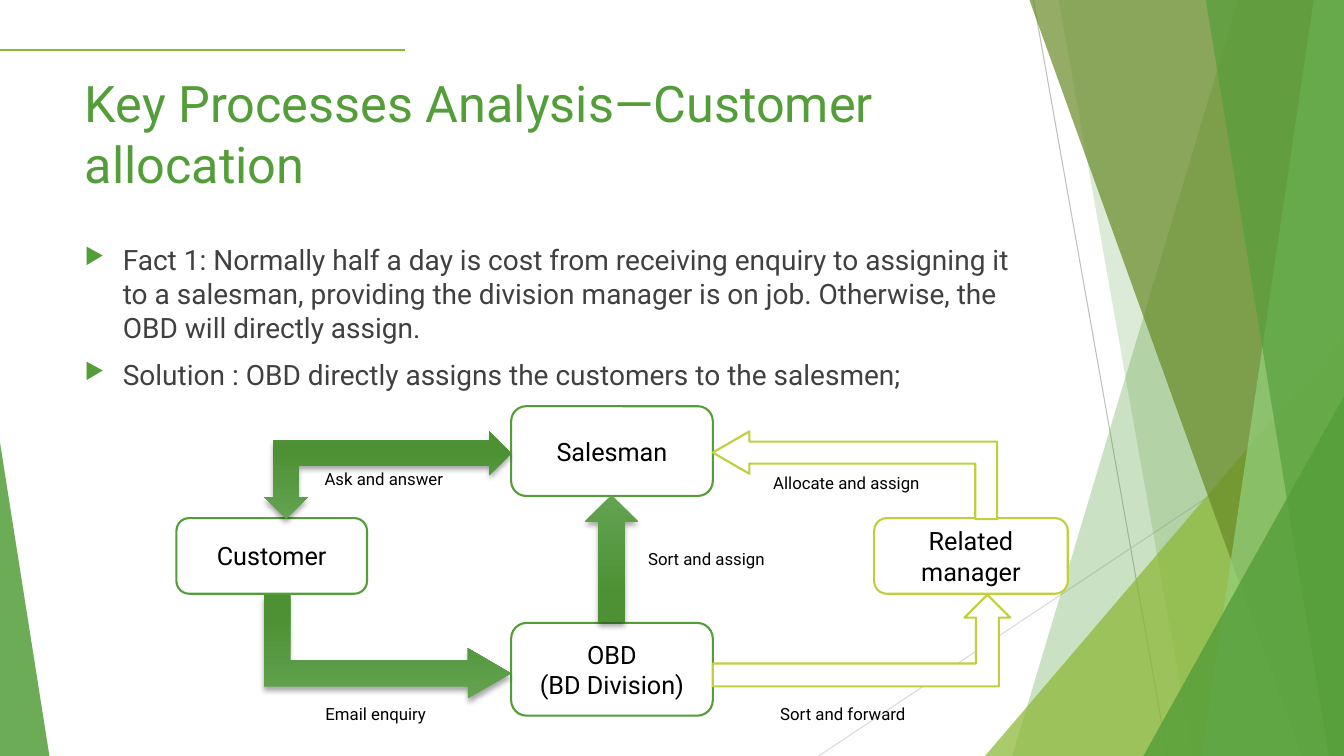
from lxml.etree import SubElement
from pptx import Presentation
from pptx.dml.color import RGBColor
from pptx.enum.shapes import MSO_CONNECTOR, MSO_SHAPE
from pptx.enum.text import MSO_ANCHOR, MSO_AUTO_SIZE, PP_ALIGN
from pptx.oxml.ns import qn
from pptx.util import Inches, Pt

GREEN = RGBColor(0x54, 0x9E, 0x39)
LIME = RGBColor(0x8A, 0xB8, 0x33)
OLIVE = RGBColor(0x67, 0x8A, 0x26)
MINT = RGBColor(0x93, 0xD0, 0x7D)
YELLOW = RGBColor(0xC0, 0xCF, 0x3A)
LIGHT = RGBColor(0x63, 0xA3, 0x51)
DEEP = RGBColor(0x4D, 0x91, 0x34)
SILVER = RGBColor(0xBF, 0xBF, 0xBF)
PALE = RGBColor(0xD9, 0xD9, 0xD9)
INK = RGBColor(0x40, 0x40, 0x40)
BLACK = RGBColor(0, 0, 0)
WHITE = RGBColor(0xFF, 0xFF, 0xFF)
WIDE, HIGH = 13.33, 7.5


def put_text(frame, text, size=18, color=BLACK, align=PP_ALIGN.LEFT,
             anchor=MSO_ANCHOR.TOP, before=0):
    """Fill the frame with one paragraph for each line of text."""
    frame.word_wrap = True
    frame.auto_size = MSO_AUTO_SIZE.NONE
    frame.vertical_anchor = anchor
    frame.text = text
    for para in frame.paragraphs:
        para.alignment = align
        para.space_before = Pt(before)
        font = para.runs[0].font
        font.name, font.size, font.color.rgb = "Roboto", Pt(size), color


def add_label(slide, box, text, **style):
    label = slide.shapes.add_textbox(*map(Inches, box))
    put_text(label.text_frame, text, **style)
    return label


def add_rule(slide, start, end, color, width):
    rule = slide.shapes.add_connector(
        MSO_CONNECTOR.STRAIGHT, *map(Inches, start + end))
    rule.line.color.rgb = color
    rule.line.width = Pt(width)
    SubElement(rule.element.spPr, qn("a:effectLst"))


def add_form(slide, kind, box, adjust=(), fill=WHITE, line=None):
    form = slide.shapes.add_shape(kind, *map(Inches, box))
    form.shadow.inherit = False
    for i, value in enumerate(adjust):
        form.adjustments[i] = value
    form.fill.solid()
    form.fill.fore_color.rgb = fill
    if line is None:
        form.line.fill.background()
    else:
        form.line.color.rgb = line
        form.line.width = Pt(1.5)
    return form


def set_alpha(form, percent):
    color = form.element.spPr.find(qn("a:solidFill"))[0]
    SubElement(color, qn("a:alpha"), val=str(percent * 1000))


def add_facet(slide, top, foot, color, alpha):
    """Draw a facet from its slanted left edge to the right slide edge."""
    corners = [(WIDE, 0), (WIDE, HIGH), (foot, HIGH)]
    pen = slide.shapes.build_freeform(Inches(top), 0)
    pen.add_line_segments([(Inches(x), Inches(y)) for x, y in corners])
    facet = pen.convert_to_shape()
    facet.shadow.inherit = False
    facet.fill.solid()
    facet.fill.fore_color.rgb = color
    facet.line.fill.background()
    set_alpha(facet, alpha)


def add_wedge(slide, left, top, width, tip, color, alpha):
    box = (left, top, width, HIGH - top)
    wedge = add_form(slide, MSO_SHAPE.ISOSCELES_TRIANGLE, box, [tip], color)
    set_alpha(wedge, alpha)


def add_decor(slide):
    add_rule(slide, (10.25, 0), (11.58, HIGH), SILVER, 0.75)
    add_rule(slide, (WIDE, 4.03), (8.12, HIGH), PALE, 0.75)
    add_facet(slide, 12.28, 10.04, GREEN, 30)
    add_facet(slide, 10.5, 11.83, GREEN, 20)
    add_wedge(slide, 9.77, 3.33, 3.56, 1, LIME, 72)
    add_facet(slide, 10.21, 12.91, OLIVE, 70)
    add_facet(slide, 13.03, 11.92, MINT, 70)
    add_facet(slide, 11.96, 13.18, GREEN, 65)
    add_wedge(slide, 11.34, 3.93, 1.99, 1, GREEN, 80)
    add_wedge(slide, 0, 4.39, 0.49, 0, GREEN, 85)


def add_title(slide, box, text):
    title = slide.shapes.title
    title.left, title.top, title.width, title.height = map(Inches, box)
    put_text(title.text_frame, text, size=36, color=GREEN)


def add_points(slide, box, lines):
    body = add_label(slide, box, "\n".join(lines), size=20, color=INK,
                     before=10)
    for para in body.text_frame.paragraphs:
        props = para._p.get_or_add_pPr()
        props.set("marL", str(Inches(0.38)))
        props.set("indent", str(-Inches(0.38)))
        tint = SubElement(props, qn("a:buClr"))
        SubElement(tint, qn("a:srgbClr"), val=str(GREEN))
        SubElement(props, qn("a:buSzPct"), val="80000")
        SubElement(props, qn("a:buChar"), char="▶")


def add_node(slide, box, text, color=GREEN):
    node = add_form(slide, MSO_SHAPE.ROUNDED_RECTANGLE, box, line=color)
    put_text(node.text_frame, text, align=PP_ALIGN.CENTER,
             anchor=MSO_ANCHOR.MIDDLE)


def add_arrow(slide, kind, box, adjust=(), flip="", turn=0, solid=True):
    """Draw a shaded arrow, or an outlined one if it is not solid."""
    arrow = add_form(slide, kind, box, adjust, line=None if solid else YELLOW)
    arrow.rotation = turn
    for axis in flip:
        arrow.element.spPr.find(qn("a:xfrm")).set("flip" + axis, "1")
    if solid:
        arrow.fill.gradient()
        arrow.fill.gradient_angle = 270
        shades = ((0, LIGHT), (0.78, DEEP))
        for stop, (place, color) in zip(arrow.fill.gradient_stops, shades):
            stop.position, stop.color.rgb = place, color
        effects = arrow.element.spPr.find(qn("a:effectLst"))
        shade = SubElement(effects, qn("a:outerShdw"), blurRad=str(Pt(4)),
                           dist=str(Pt(3)), dir="5400000", rotWithShape="0")
        tint = SubElement(shade, qn("a:srgbClr"), val=str(BLACK))
        SubElement(tint, qn("a:alpha"), val="35000")


def add_flow(slide, left, top):
    """Draw the allocation flow with its top left corner at the point."""
    def at(x, y, w, h):
        return left + x, top + y, w, h

    add_node(slide, at(0, 1.11, 1.89, 0.75), "Customer")
    add_node(slide, at(3.32, 0, 2, 0.89), "Salesman")
    add_node(slide, at(6.92, 1.11, 1.92, 0.75), "Related manager", YELLOW)
    add_node(slide, at(3.32, 2.15, 2, 0.92), "OBD\n(BD Division)")

    bent = MSO_SHAPE.BENT_ARROW
    curve = (0.25, 0.242, 0.417, 0)
    add_arrow(slide, bent, at(0.87, 1.87, 2.45, 1.03), curve, "V")
    add_arrow(slide, bent, at(5.32, 0.25, 2.82, 0.87), curve, "H",
              solid=False)
    add_arrow(slide, bent, at(6.34, 0.85, 0.91, 2.95), (0.25, 0.25, 0.25, 0),
              "H", turn=90, solid=False)
    add_arrow(slide, MSO_SHAPE.LEFT_UP_ARROW, at(0.87, 0.25, 2.45, 0.87),
              (0.288, 0.25, 0.25), "HV")
    add_arrow(slide, MSO_SHAPE.UP_ARROW, at(4.05, 0.88, 0.53, 1.26))

    labels = (
        (1.38, 2.9, 1.6, "Email enquiry"),
        (5.89, 2.9, 2.06, "Sort and forward"),
        (5.82, 0.61, 2.21, "Allocate and assign"),
        (1.37, 0.57, 1.95, "Ask and answer"),
        (4.58, 1.36, 1.43, "Sort and assign"),
    )
    for x, y, width, text in labels:
        add_label(slide, at(x, y, width, 0.3), text, size=12)


def main():
    deck = Presentation()
    deck.slide_width, deck.slide_height = Inches(WIDE), Inches(HIGH)
    slide = deck.slides.add_slide(deck.slide_layouts[5])
    add_decor(slide)
    add_title(slide, (0.74, 0.67, 9.4, 1.44),
              "Key Processes Analysis—Customer allocation")
    add_points(slide, (0.74, 2.36, 9.4, 4.24), (
        "Fact 1: Normally half a day is cost from receiving enquiry to "
        "assigning it to a salesman, providing the division manager is on "
        "job. Otherwise, the OBD will directly assign.",
        "Solution : OBD directly assigns the customers to the salesmen;"))
    add_flow(slide, 1.75, 4.03)
    add_rule(slide, (0, 0.5), (4.02, 0.5), LIME, 1.5)
    deck.save("out.pptx")


if __name__ == "__main__":
    main()
